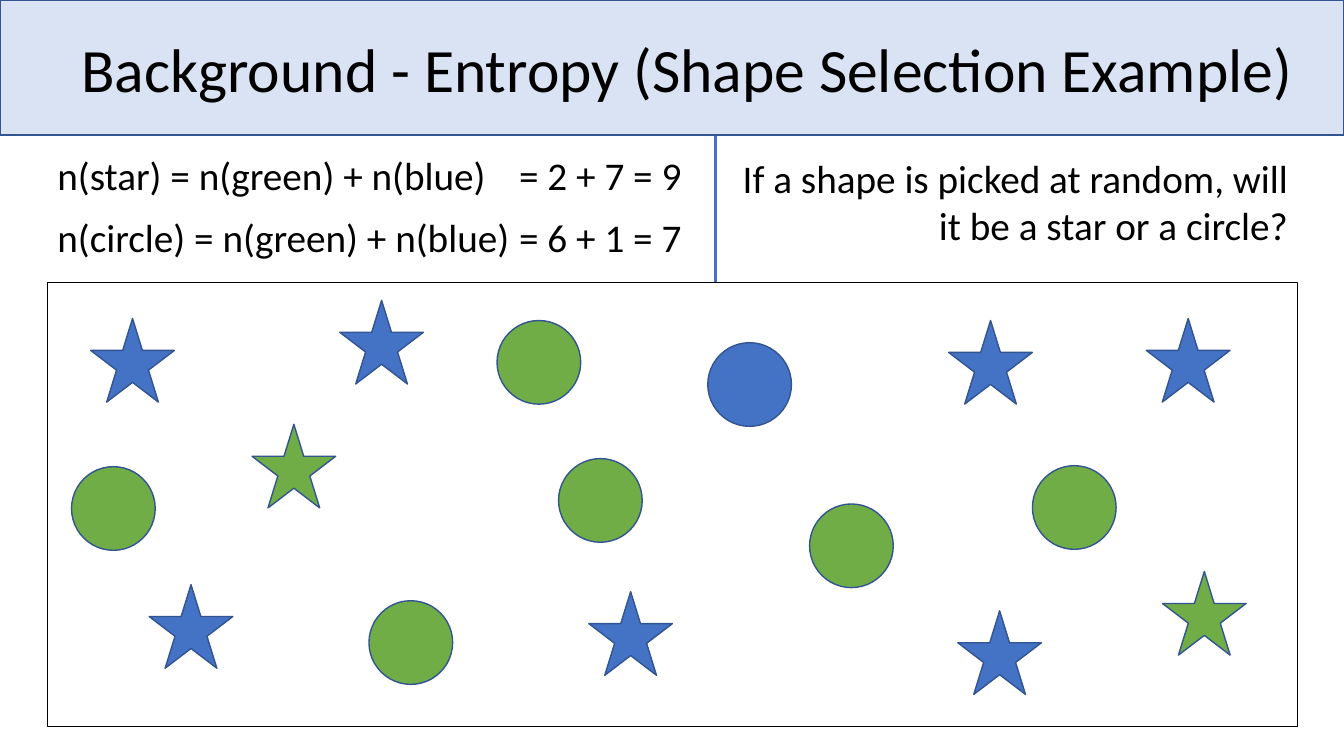
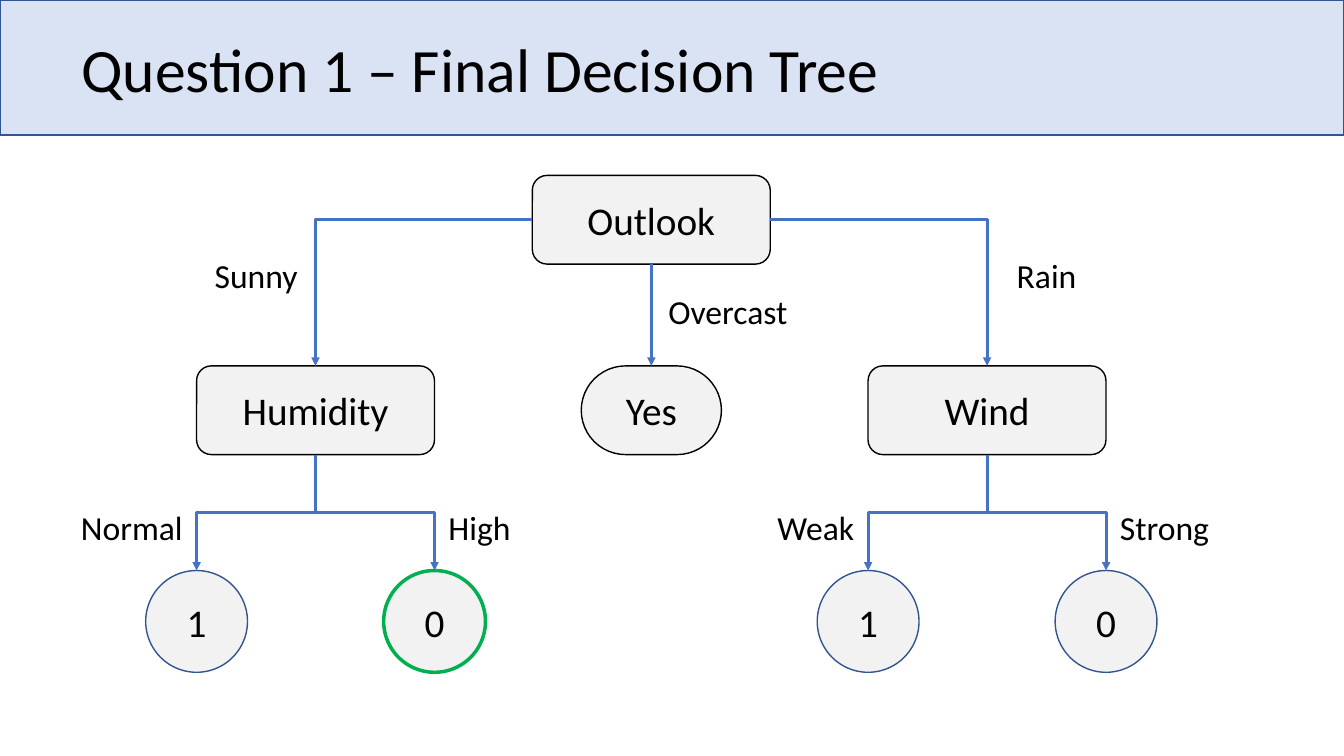
from lxml import etree
from pptx import Presentation
from pptx.dml.color import RGBColor
from pptx.enum.shapes import MSO_CONNECTOR as Line, MSO_SHAPE as Preset
from pptx.enum.text import MSO_ANCHOR as Anchor, PP_ALIGN as Align
from pptx.oxml.ns import qn
from pptx.util import Inches, Pt

FONT = "Calibri"
COLORS = {
    "text": "000000", "band": "DAE3F3", "outline": "325491", "white": "FFFFFF",
    "blue": "4472C4", "green": "70AD47", "node": "F2F2F2", "highlight": "00B050",
}
SLIDE_WIDTH, SLIDE_HEIGHT = 13.33, 7.5
TOP, LEFT, BOTTOM, RIGHT = range(4)  # connection sites

# Counting panel: offsets of the tokens from the panel corner
TOKEN_SIZE = 0.83
TOKENS = [
    (Preset.STAR_5_POINT, "blue", [(0.43, 0.36), (1.01, 3), (10.9, 0.36), (9.03, 3.26),
                                   (2.9, 0.18), (8.94, 0.38), (5.37, 3.07)]),
    (Preset.STAR_5_POINT, "green", [(2.03, 1.41), (11.06, 2.87)]),
    (Preset.OVAL, "green", [(4.46, 0.38), (0.24, 1.83), (3.19, 3.16),
                            (9.77, 1.82), (7.56, 2.2), (5.07, 1.75)]),
    (Preset.OVAL, "blue", [(6.55, 0.6)]),
]

# Decision tree measures
NODE_WIDTH, NODE_HEIGHT, YES_WIDTH, LEAF_SIZE = 2.36, 0.88, 1.39, 1.01
ROW_STEP, LEAF_DROP, BRANCH_STEP = 1.89, 2.03, 3.33
LEAF_STEP = NODE_WIDTH / 2
LABEL_WIDTH, LABEL_HEIGHT, LABEL_GAP = 1.84, 0.5, 0.04


def color(name):
    return RGBColor.from_string(COLORS[name])


def write(shape, text, size, align=Align.LEFT):
    """Put one run of text in a shape or text box."""
    shape.text_frame.word_wrap = True
    paragraph = shape.text_frame.paragraphs[0]
    paragraph.alignment = align
    run = paragraph.add_run()
    run.text = text
    run.font.name, run.font.size = FONT, Pt(size)
    run.font.color.rgb = color("text")
    return paragraph


def add_text(slide, box, text, size, align=Align.LEFT, anchor=Anchor.TOP):
    shape = slide.shapes.add_textbox(*map(Inches, box))
    shape.text_frame.vertical_anchor = anchor
    return write(shape, text, size, align)


def add_figure(slide, preset, box, fill, outline="outline", weight=1, text=None):
    shape = slide.shapes.add_shape(preset, *map(Inches, box))
    shape.shadow.inherit = False
    shape.fill.solid()
    shape.fill.fore_color.rgb = color(fill)
    shape.line.color.rgb = color(outline)
    shape.line.width = Pt(weight)
    if text:
        shape.text_frame.vertical_anchor = Anchor.MIDDLE
        write(shape, text, 28, Align.CENTER)
    return shape


def add_line(slide, kind, start=(0, 0), end=(0, 0)):
    line = slide.shapes.add_connector(kind, *map(Inches, (*start, *end)))
    line.line.color.rgb = color("blue")
    line.line.width = Pt(2)
    etree.SubElement(line._element.spPr, qn("a:effectLst"))
    return line


def add_arrow(slide, kind, source, site, target):
    """Glue an arrow from a site of the source to the top of the target."""
    arrow = add_line(slide, kind)
    arrow.begin_connect(source, site)
    arrow.end_connect(target, TOP)
    outline = arrow._element.spPr.find(qn("a:ln"))
    etree.SubElement(outline, qn("a:tailEnd"), type="triangle")
    return arrow


def add_corner_arrow(slide, source, site, target):
    """Arrow that runs sideways, then down."""
    arrow = add_arrow(slide, Line.ELBOW, source, site, target)
    arrow._element.spPr.find(qn("a:prstGeom")).set("prst", "bentConnector2")


def add_step_arrow(slide, source, target):
    """Arrow that runs down, sideways, then down again."""
    arrow = add_arrow(slide, Line.ELBOW, source, BOTTOM, target)
    to_right = arrow.end_x > arrow.begin_x
    width, height = arrow.width, arrow.height
    arrow.left += (width - height) // 2
    arrow.top += (height - width) // 2
    arrow.width, arrow.height = height, width
    transform = arrow._element.spPr.find(qn("a:xfrm"))
    transform.attrib.pop("flipH", None)
    transform.set("rot", str((270 if to_right else 90) * 60000))
    if to_right:
        transform.set("flipH", "1")


def add_titled_slide(presentation, title):
    """Blank slide with the title band."""
    slide = presentation.slides.add_slide(presentation.slide_layouts[6])
    add_figure(slide, Preset.RECTANGLE, (0, 0, SLIDE_WIDTH, 1.34), "band")
    paragraph = add_text(slide, (0.71, -0.01, 12.4, 1.45), title, 44, anchor=Anchor.MIDDLE)
    paragraph.line_spacing = 0.9
    return slide


def add_counts(slide, left, top, width):
    """Sums for both shapes, with the results lined up on a tab stop."""
    sums = ["n(star) = n(green) + n(blue)\t= 2 + 7 = 9",
            "n(circle) = n(green) + n(blue)\t= 6 + 1 = 7"]
    for row, text in enumerate(sums):
        paragraph = add_text(slide, (left, top + row * 0.62, width, 0.57), text, 28)
        stops = etree.SubElement(paragraph._p.get_or_add_pPr(), qn("a:tabLst"))
        etree.SubElement(stops, qn("a:tab"), pos=str(Inches(4.58)), algn="l")


def add_token_panel(slide, left, top, width, height):
    add_figure(slide, Preset.RECTANGLE, (left, top, width, height), "white", "text")
    for preset, fill, offsets in TOKENS:
        for x, y in offsets:
            add_figure(slide, preset, (left + x, top + y, TOKEN_SIZE, TOKEN_SIZE), fill)


def build_entropy_slide(presentation):
    slide = add_titled_slide(presentation, "Background - Entropy (Shape Selection Example)")
    add_token_panel(slide, 0.47, 2.8, 12.4, 4.41)
    add_counts(slide, 0.47, 1.45, 6.45)
    add_text(slide, (7.02, 1.48, 5.85, 1.04),
             "If a shape is picked at random, will it be a star or a circle?", 28, Align.RIGHT)
    add_line(slide, Line.STRAIGHT, (7.1, 1.35), (7.1, 2.8))


def add_node(slide, center, top, text, width=NODE_WIDTH):
    box = (center - width / 2, top, width, NODE_HEIGHT)
    return add_figure(slide, Preset.ROUNDED_RECTANGLE, box, "node", "text", text=text)


def add_label(slide, left, top, text, align=Align.CENTER):
    add_text(slide, (left, top, LABEL_WIDTH, LABEL_HEIGHT), text, 24, align)


def add_subtree(slide, center, top, name, labels, highlighted=None):
    """Inner node with a leaf on either side; returns the node."""
    node = add_node(slide, center, top, name)
    for side, value, label in zip((-1, 1), "10", labels):
        leaf_center = center + side * LEAF_STEP
        box = (leaf_center - LEAF_SIZE / 2, top + LEAF_DROP, LEAF_SIZE, LEAF_SIZE)
        style = ("highlight", 2.5) if value == highlighted else ("outline", 1)
        leaf = add_figure(slide, Preset.OVAL, box, "node", *style, text=value)
        add_step_arrow(slide, node, leaf)
        if side < 0:
            label_left, align = leaf_center - LABEL_GAP - LABEL_WIDTH, Align.RIGHT
        else:
            label_left, align = leaf_center + LABEL_GAP, Align.LEFT
        add_label(slide, label_left, top + 1.35, label, align)
    return node


def add_tree(slide, center, top):
    root = add_node(slide, center, top, "Outlook")
    row = top + ROW_STEP

    # Middle branch
    answer = add_node(slide, center, row, "Yes", YES_WIDTH)
    answer.adjustments[0] = 0.5
    add_arrow(slide, Line.STRAIGHT, root, BOTTOM, answer)
    add_label(slide, center - 0.16, top + 1.1, "Overcast")

    # Outer branches
    branches = [(-1, LEFT, "Sunny", "Humidity", ("Normal", "High"), "0"),
                (1, RIGHT, "Rain", "Wind", ("Weak", "Strong"), None)]
    for side, site, label, name, leaf_labels, highlighted in branches:
        branch = center + side * BRANCH_STEP
        node = add_subtree(slide, branch, row, name, leaf_labels, highlighted)
        add_corner_arrow(slide, root, site, node)
        add_label(slide, branch + side * 0.59 - LABEL_WIDTH / 2, top + 0.74, label)


def build_tree_slide(presentation):
    slide = add_titled_slide(presentation, "Question 1 – Final Decision Tree")
    add_tree(slide, 6.46, 1.74)


def main():
    presentation = Presentation()
    presentation.slide_width = Inches(SLIDE_WIDTH)
    presentation.slide_height = Inches(SLIDE_HEIGHT)
    build_entropy_slide(presentation)
    build_tree_slide(presentation)
    presentation.save("out.pptx")


if __name__ == "__main__":
    main()
